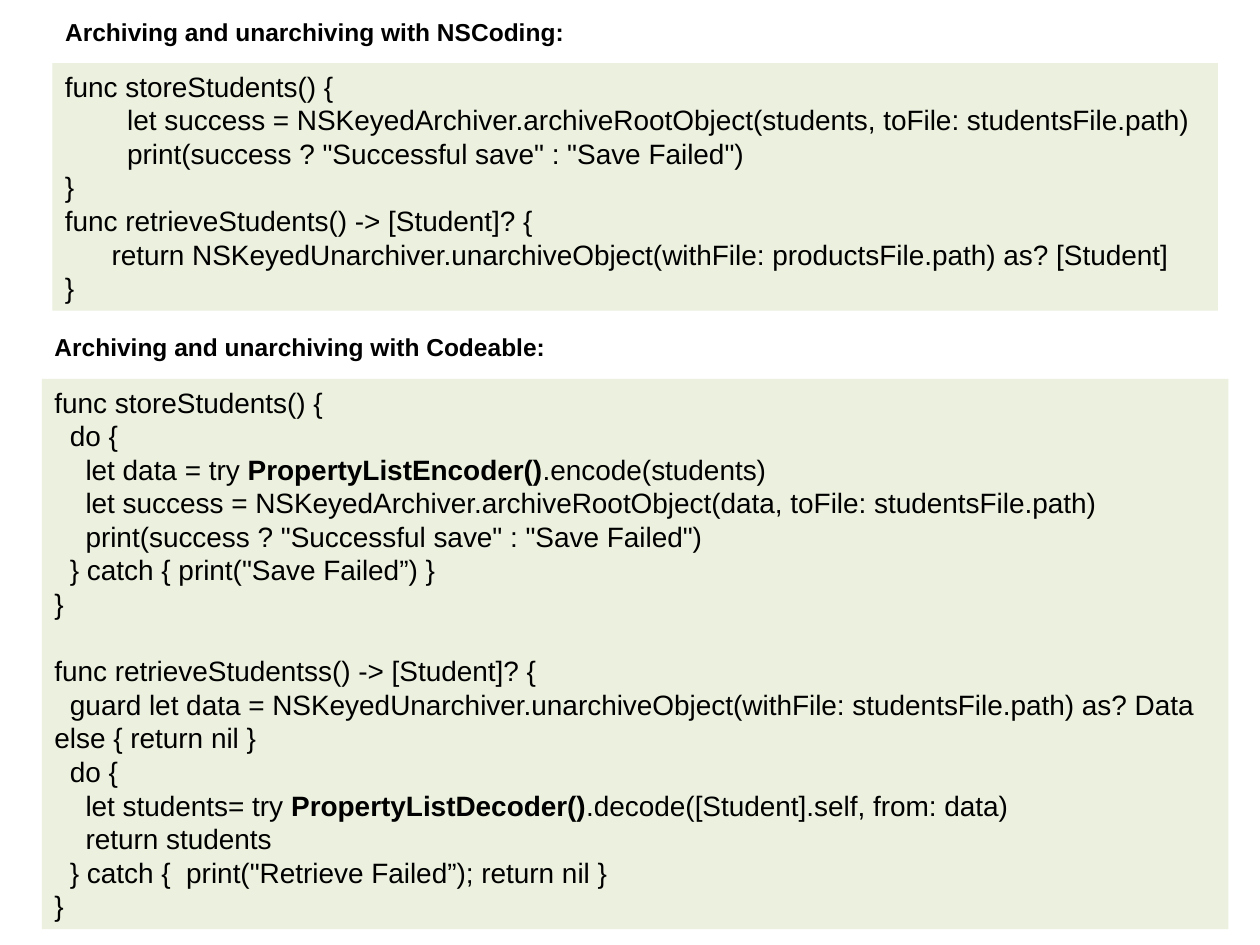
from dataclasses import dataclass

from pptx import Presentation
from pptx.dml.color import RGBColor
from pptx.enum.shapes import MSO_SHAPE as Preset
from pptx.enum.text import MSO_ANCHOR as Anchor, MSO_AUTO_SIZE as AutoSize, PP_ALIGN as Align
from pptx.shapes.base import BaseShape
from pptx.slide import Slide
from pptx.text.text import TextFrame
from pptx.util import Pt


@dataclass(frozen=True)
class Theme:
    font: str = "Arial"
    ink: RGBColor = RGBColor(0x00, 0x00, 0x00)
    panel: RGBColor = RGBColor(0xEB, 0xF1, 0xDE)
    heading_size: float = 14
    code_size: float = 16
    code_line: float = 19.2
    code_space: float = 4.45


@dataclass(frozen=True)
class Box:
    left: float
    top: float
    width: float
    height: float


@dataclass(frozen=True)
class CodeLine:
    text: str
    depth: int = 0
    bold: str = ""
    rest: str = ""
    gap_before: bool = False


@dataclass(frozen=True)
class Section:
    heading: str
    heading_box: Box
    code_box: Box
    lines: tuple[CodeLine, ...]


THEME = Theme()

SECTIONS = (
    Section(
        "Archiving and unarchiving with NSCoding:",
        Box(30, 6, 600, 24.3),
        Box(30, 36, 666, 141.6),
        (
            CodeLine("func storeStudents() {"),
            CodeLine("let success = NSKeyedArchiver.archiveRootObject(students, toFile: studentsFile.path)", 8),
            CodeLine('print(success ? "Successful save" : "Save Failed")', 8),
            CodeLine("}"),
            CodeLine("func retrieveStudents() -> [Student]? {"),
            CodeLine("return NSKeyedUnarchiver.unarchiveObject(withFile: productsFile.path) as? [Student]", 6),
            CodeLine("}"),
        ),
    ),
    Section(
        "Archiving and unarchiving with Codeable:",
        Box(24, 186, 600, 24.3),
        Box(24, 216.5, 678, 314.5),
        (
            CodeLine("func storeStudents() {"),
            CodeLine("do {", 2),
            CodeLine("let data = try ", 4, "PropertyListEncoder()", ".encode(students)"),
            CodeLine("let success = NSKeyedArchiver.archiveRootObject(data, toFile: studentsFile.path)", 4),
            CodeLine('print(success ? "Successful save" : "Save Failed")', 4),
            CodeLine('} catch { print("Save Failed”) }', 2),
            CodeLine("}"),
            CodeLine("func retrieveStudentss() -> [Student]? {", gap_before=True),
            CodeLine(
                "guard let data = NSKeyedUnarchiver.unarchiveObject(withFile: studentsFile.path)"
                " as? Data else { return nil }", 2),
            CodeLine("do {", 2),
            CodeLine("let students= try ", 4, "PropertyListDecoder()", ".decode([Student].self, from: data)"),
            CodeLine("return students", 4),
            CodeLine('} catch {  print("Retrieve Failed”); return nil }', 2),
            CodeLine("}"),
        ),
    ),
)


def place(shape: BaseShape, box: Box) -> None:
    shape.left, shape.top = Pt(box.left), Pt(box.top)
    shape.width, shape.height = Pt(box.width), Pt(box.height)


def prepare_frame(text_frame: TextFrame) -> None:
    text_frame.word_wrap = True
    text_frame.auto_size = AutoSize.SHAPE_TO_FIT_TEXT
    text_frame.vertical_anchor = Anchor.TOP
    text_frame.margin_left = text_frame.margin_right = Pt(7.2)
    text_frame.margin_top = text_frame.margin_bottom = Pt(3.6)


def format_runs(text_frame: TextFrame, size: float) -> None:
    for paragraph in text_frame.paragraphs:
        paragraph.alignment = Align.LEFT
        for run in paragraph.runs:
            run.font.name = THEME.font
            run.font.size = Pt(size)
            run.font.color.rgb = THEME.ink


def draw_heading(shape: BaseShape, section: Section) -> None:
    place(shape, section.heading_box)
    text_frame = shape.text_frame
    prepare_frame(text_frame)
    text_frame.text = section.heading
    format_runs(text_frame, THEME.heading_size)
    text_frame.paragraphs[0].runs[0].font.bold = True


def draw_code(slide: Slide, section: Section) -> None:
    box = section.code_box
    panel = slide.shapes.add_shape(
        Preset.RECTANGLE, Pt(box.left), Pt(box.top), Pt(box.width), Pt(box.height))
    panel.shadow.inherit = False
    panel.fill.solid()
    panel.fill.fore_color.rgb = THEME.panel
    panel.line.fill.background()
    text_frame = panel.text_frame
    prepare_frame(text_frame)
    text_frame.text = "\n".join(line.text for line in section.lines)
    for paragraph, line in zip(text_frame.paragraphs, section.lines):
        properties = paragraph._p.get_or_add_pPr()
        properties.set("marL", "0")
        properties.set("indent", str(Pt(line.depth * THEME.code_space)))
        if line.gap_before:
            paragraph.space_before = Pt(THEME.code_line)
        if line.bold:
            bold_run = paragraph.add_run()
            bold_run.text = line.bold
            bold_run.font.bold = True
            paragraph.add_run().text = line.rest
    format_runs(text_frame, THEME.code_size)


def main() -> None:
    presentation = Presentation()
    presentation.slide_width, presentation.slide_height = Pt(720), Pt(540)
    slide = presentation.slides.add_slide(presentation.slide_layouts[5])
    first, second = SECTIONS
    draw_heading(slide.shapes.title, first)
    draw_code(slide, first)
    draw_code(slide, second)
    draw_heading(slide.shapes.add_textbox(0, 0, 0, 0), second)
    presentation.save("out.pptx")


if __name__ == "__main__":
    main()
